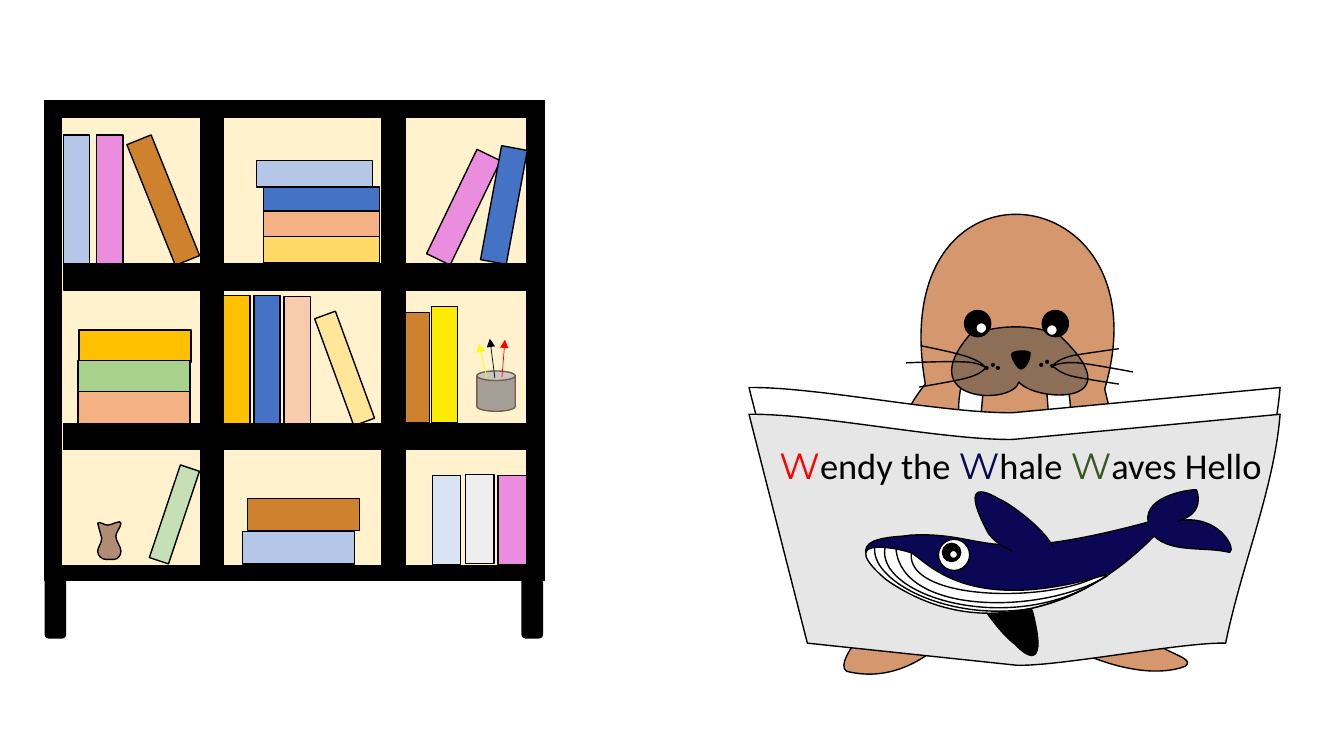
from lxml import etree
from pptx import Presentation
from pptx import util as u
from pptx.dml.color import RGBColor
from pptx.enum import shapes, text
from pptx.oxml.ns import qn

Pt = u.Pt
KIND = shapes.MSO_SHAPE
BLACK, WHITE = "000000", "FFFFFF"
SKIN, NAVY = "D4976E", "0B0754"
TAN, PINK, BROWN, SKY, BLUE = "F4B183", "EB8DDE", "CF822D", "B4C7E7", "4472C4"
GOLD = "FFC000"

FEET = [
    "M 846.7 475.9 C 857.5 466.6 810 468 777.6 414 L 730.1 434.9 C 745.2 459.4 810.7 489.6 846.7 475.9 Z",
    "M 604.8 479.5 C 593.3 471.6 634.3 433.4 648.7 410.4 L 697.7 414.7 C 697.7 439.9 655.9 492.5 604.8 479.5 Z",
]
TORSO = ("M 789.1 277.9 C 834.5 123.8 630.7 100.8 661 274.3 C 627.1 316.8 654.5 324 665.3 380.2 "
         "C 658.8 486.7 650.9 450.7 752.4 422.6 C 765.4 410.4 829.4 439.2 789.1 277.9 Z")
TUSKS = [
    "M 688.3 270 C 679 297.4 689.8 326.2 700.6 339.1 C 697 317.5 702 293 702.7 270 Z",
    "M 761 271.4 C 770.4 298.8 760.3 327.6 748.8 340.6 C 752.4 319 748.1 294.5 747.4 271.4 Z",
]
MUZZLE = ("M 755.3 238.3 C 730.8 231.1 716.4 232.6 693.4 238.3 C 650.2 287.3 722.9 290.2 727.9 272.9 "
          "C 739.4 287.3 812.9 290.9 755.3 238.3 Z")
NOSE = ("M 722.9 252.7 C 721.4 254.2 727.2 264.2 729.4 263.5 C 731.5 263.5 735.8 258.5 735.8 252 "
        "C 733.7 249.8 723.6 250.6 722.9 252.7 Z")
ARMS = [
    "M 604.1 372.2 C 604.1 358.6 658.8 370.8 686.2 370.1 L 709.2 414 C 689 427 621.4 421.9 604.1 372.2 Z",
    "M 725 368.6 C 723.6 355.7 769.7 373.7 791.3 375.8 L 817.2 418.3 C 802.1 428.4 746.6 416.2 725 368.6 Z",
]
HAIRS = [
    "M 704.2 262.8 C 702 259.9 699.1 257.8 691.2 254.9 C 683.3 252 658.1 247 658.1 247",
    "M 704.9 262.8 C 700.6 260.6 697 258.5 686.9 258.5 C 677.5 257.8 647.3 259.2 647.3 259.2",
    "M 704.2 262.8 C 701.3 265.7 698.4 267.8 690.5 270 C 682.6 272.2 656.6 276.5 656.6 276.5",
    "M 751.7 261.4 C 754.6 258.5 757.4 256.3 765.4 254.2 C 773.3 252.7 799.2 249.1 799.2 249.1",
    "M 751.7 261.4 C 756 259.9 760.3 258.5 769.7 259.2 C 779 259.9 809.3 265.7 809.3 265.7",
    "M 751.7 261.4 C 754.6 263.5 757.4 266.4 765.4 268.6 C 774 270.7 799.2 274.3 799.2 274.3",
]
DOTS = [(703.4, 261.4), (711.4, 261.4), (707.8, 259.2), (742.3, 259.2), (746.6, 257), (750.2, 259.9)]
VASE = ("M 69.8 373.7 C 71.3 372.2 74.2 375.1 77 375.1 C 79.9 375.1 86.4 370.8 86.4 373.7 "
        "C 86.4 376.6 82.8 380.2 82.8 383 C 82.8 386.6 86.4 390.2 86.4 393.8 "
        "C 86.4 396.7 84.2 399.6 81.4 399.6 L 75.6 399.6 C 72.7 399.6 69.8 396.7 69.8 393.8 "
        "C 69.8 391 72.7 388.1 72.7 384.5 Z")
PAGE = ("M 535 295.9 C 583.2 295.2 674.6 314.6 723.6 313.9 L 914.4 295.9 C 910.1 349.2 887 403.2 875.5 459.4 "
        "C 844.6 458.6 758.2 475.9 726.5 475.2 L 576.7 459.4 Z")
LOWFIN = ("M 714.2 403.9 C 718.6 410.4 720.7 416.2 725 422.6 C 731.5 427 736.6 432.7 738 438.5 "
          "C 749.5 484.6 728.6 464.4 725 460.1 C 717.8 455.8 689.8 423.4 695.5 409.7 "
          "C 689.8 398.9 688.3 395.3 691.9 394.6 Z")
WHALE = ("M 650.2 382.3 C 706.3 379.4 699.1 405.4 820.1 373 C 816.5 352.8 854.6 349.2 854.6 349.9 "
         "C 855.4 351.4 861.1 367.2 841 372.2 C 869.8 366.5 883.4 391.7 878.4 394.6 "
         "C 860.4 390.2 837.4 395.3 824.4 383 C 734.4 473.8 650.9 425.5 637.2 416.9 "
         "C 591.8 380.9 641.5 384.5 650.2 382.3 Z")
BELLY = ("M 650.2 394.6 C 661 398.9 688.3 442.1 792.7 409.7 C 763.9 429.1 699.1 460.1 632.9 414 "
         "C 597.6 383.8 635.8 390.2 650.2 394.6 Z")
PLEATS = [
    "M 650.9 395.3 C 648 428.4 743 430.6 780.5 413.3",
    "M 640.1 392.4 C 644.4 439.9 746.6 439.2 791.3 411.1",
    "M 632.2 391 C 625.7 423.4 709.9 451.4 773.3 421.2",
    "M 625 390.2 C 620.6 414 675.4 444.2 735.8 434.9",
]
TOPFIN = ("M 737.3 408.2 C 731.5 403.2 727.9 398.2 722.2 393.1 C 715 390.2 708.5 385.2 705.6 380.2 "
          "C 683.3 338.4 708.5 353.5 713.5 356.4 C 721.4 359.3 756 384.5 753.8 398.2 "
          "C 761.8 407.5 763.9 411.1 761 412.6 Z")

# left, top, width, height, colour, tilt
BOOKS = [
    (45.4, 96.5, 18.7, 92.9, SKY, 0), (69.1, 96.5, 18.7, 92.9, PINK, 0),
    (107.3, 96.5, 18.7, 92.9, BROWN, 338.1),
    (188.3, 133.6, 82.8, 18.7, BLUE, 0), (183.2, 114.8, 82.8, 18.7, SKY, 0),
    (188.3, 150.8, 82.8, 18.7, TAN, 0), (188.3, 168.8, 82.8, 18.7, "FFD966", 0),
    (321.8, 106.6, 18.7, 82.8, PINK, 25.8), (350.6, 105.1, 18.7, 82.8, BLUE, 10.5),
    (308.2, 218.9, 18.7, 82.8, "FBEB01", 0),
    (203, 211.7, 18.7, 92.9, "F8CBAD", 0), (181.4, 211, 18.7, 92.9, BLUE, 0),
    (159.8, 211, 18.7, 92.9, GOLD, 0), (238.3, 222.5, 15.8, 81.4, "FFE699", 339.9),
    (117.4, 332.6, 14.4, 69.8, "C5E0B4", 18.5),
    (176.8, 356, 79.9, 23, BROWN, 0), (173.2, 379.8, 79.9, 23, SKY, 0),
    (56.5, 235.8, 79.9, 23, GOLD, 0), (55.8, 257.4, 79.9, 23, "A9D18E", 0),
    (55.8, 279.7, 79.9, 23, TAN, 0),
    (308.9, 339.8, 20.2, 63.4, "DAE3F3", 0), (332.6, 339.1, 20.2, 63.4, "EDEDED", 0),
    (355.7, 339.8, 20.2, 63.4, PINK, 0), (289.4, 223.2, 17.3, 78.5, BROWN, 0),
]
PENS = [(353.5, 270, 349.9, 241.9, BLACK), (358.6, 269.3, 360.7, 242.6, "FF0000"),
        (347.8, 270, 342, 245.5, "FFFF00")]
TITLE = [("W", "Montserrat", "FF0000"), ("endy the ", "Calibri", BLACK), ("W", "Montserrat", NAVY),
         ("hale ", "Calibri", BLACK), ("W", "Montserrat", "385723"), ("aves Hello", "Calibri", BLACK)]


def rgb(code):
    return RGBColor.from_string(code)


def paint(item, fill, line):
    item.shadow.inherit = False
    for part, code in ((item.fill, fill), (item.line.fill, line)):
        if code:
            part.solid()
            part.fore_color.rgb = rgb(code)
        else:
            part.background()
    if line:
        item.line.width = Pt(1)


def form(home, kind, x, y, w, h, fill, line=BLACK, tilt=0):
    item = home.add_shape(kind, Pt(x), Pt(y), Pt(w), Pt(h))
    item.rotation = tilt
    paint(item, fill, line)


def disc(home, x, y, size, fill, line=BLACK):
    form(home, KIND.OVAL, x, y, size, size, fill, line)


def steps(route, drop):
    """Split a route such as 'M x y C ... Z' into (letter, points) pairs."""
    found = []
    for word in route.split():
        if word.isalpha():
            found.append((word, []))
        else:
            found[-1][1].append(float(word))
    return [(key, [(Pt(x), Pt(y + drop)) for x, y in zip(nums[::2], nums[1::2])])
            for key, nums in found]


def bend(a, b, c, d, t):
    """Point at t on a cubic curve."""
    s = 1 - t
    return tuple(round(s**3 * p + 3 * s * s * t * q + 3 * s * t * t * r + t**3 * v)
                 for p, q, r, v in zip(a, b, c, d))


def curve(home, route, fill=None, line=BLACK, drop=0):
    """Size a freeform by points along the route, then give it true curves."""
    moves = steps(route, drop)
    trail = []
    for key, pts in moves:
        if key == "C":
            start = trail[-1]
            trail += [bend(start, *pts, n / 20) for n in range(1, 21)]
        else:
            trail += pts
    pen = home.build_freeform(*trail[0])
    pen.add_line_segments(trail[1:], close=False)
    item = pen.convert_to_shape()
    track = item._element.xpath(".//a:path")[0]
    for old in list(track):
        track.remove(old)
    tags = {"M": "a:moveTo", "L": "a:lnTo", "C": "a:cubicBezTo", "Z": "a:close"}
    for key, pts in moves:
        node = etree.SubElement(track, qn(tags[key]))
        for x, y in pts:
            etree.SubElement(node, qn("a:pt"), x=str(x - item.left), y=str(y - item.top))
    paint(item, fill, line)


def arrow(home, x1, y1, x2, y2, code):
    item = home.add_connector(shapes.MSO_CONNECTOR.STRAIGHT, Pt(x1), Pt(y1), Pt(x2), Pt(y2))
    item.line.color.rgb = rgb(code)
    item.line.width = Pt(0.5)
    etree.SubElement(item.line._get_or_add_ln(), qn("a:tailEnd"), type="triangle")
    etree.SubElement(item._element.spPr, qn("a:effectLst"))


def walrus(home):
    curve(home, FEET[0], SKIN)
    curve(home, TORSO, SKIN)
    for tusk in TUSKS:
        curve(home, tusk, "FBFCFC")
    curve(home, FEET[1], SKIN)
    curve(home, MUZZLE, "8D6E56")
    curve(home, NOSE, BLACK)
    for x, gx, gy in ((689, 697, 230.4), (744.5, 747.4, 231.8)):
        disc(home, x, 221.8, 18.7, BLACK)
        disc(home, gx, gy, 7.9, WHITE)
    for arm in ARMS:
        curve(home, arm, SKIN, None)
    for hair in HAIRS:
        curve(home, hair)
    for x, y in DOTS:
        disc(home, x, y, 2.9, BLACK, None)


def case(home):
    for x in (32.4, 373):
        form(home, KIND.ROUNDED_RECTANGLE, x, 406.6, 14.4, 49, BLACK)
    form(home, KIND.RECTANGLE, 31.7, 72, 357.1, 342.7, BLACK)
    form(home, KIND.RECTANGLE, 43.9, 83.5, 332.6, 320.4, "FFF2CC")
    for x in (143.3, 272.9):
        form(home, KIND.RECTANGLE, x, 80.6, 16.6, 326, BLACK)
    for x, y, w, h, code, tilt in BOOKS:
        form(home, KIND.RECTANGLE, x, y, w, h, code, tilt=tilt)
    for y in (188.6, 302.4):
        form(home, KIND.RECTANGLE, 45.4, y, 331.2, 18.7, BLACK)


def cup(home):
    form(home, KIND.CAN, 340.6, 265, 27.4, 28.8, "A69F97", "745E50")
    for pen in PENS:
        arrow(home, *pen)


def title(home):
    box = home.add_textbox(Pt(511.2), Pt(313.2), Pt(435.6), Pt(38.9))
    frame = box.text_frame
    frame.word_wrap = True
    frame.auto_size = text.MSO_AUTO_SIZE.SHAPE_TO_FIT_TEXT
    para = frame.paragraphs[0]
    para.alignment = text.PP_ALIGN.CENTER
    for words, face, code in TITLE:
        run = para.add_run()
        run.text = words
        run.font.size = Pt(26)
        run.font.name = face
        run.font.color.rgb = rgb(code)


def whale(home):
    curve(home, LOWFIN, BLACK)
    curve(home, WHALE, NAVY)
    curve(home, BELLY, WHITE)
    for pleat in PLEATS:
        curve(home, pleat)
    disc(home, 670.3, 385.2, 22.3, WHITE)
    curve(home, TOPFIN, NAVY)
    form(home, KIND.OVAL, 704.9, 391, 73.4, 25.2, NAVY, None, 356.5)
    disc(home, 673.2, 388.1, 13, BLACK)
    disc(home, 678.2, 393.1, 5.8, WHITE)
    disc(home, 677.5, 392.4, 1.4, WHITE)


def main():
    deck = Presentation()
    deck.slide_width, deck.slide_height = Pt(960), Pt(540)
    home = deck.slides.add_slide(deck.slide_layouts[6]).shapes
    walrus(home.add_group_shape().shapes)
    case(home)
    cup(home.add_group_shape().shapes)
    curve(home, VASE, "B18B74")
    paper = home.add_group_shape().shapes
    curve(paper, PAGE, WHITE, drop=-19.1)
    curve(paper, PAGE, "E7E6E6")
    title(home)
    whale(home.add_group_shape().shapes)
    deck.save("out.pptx")


if __name__ == "__main__":
    main()
